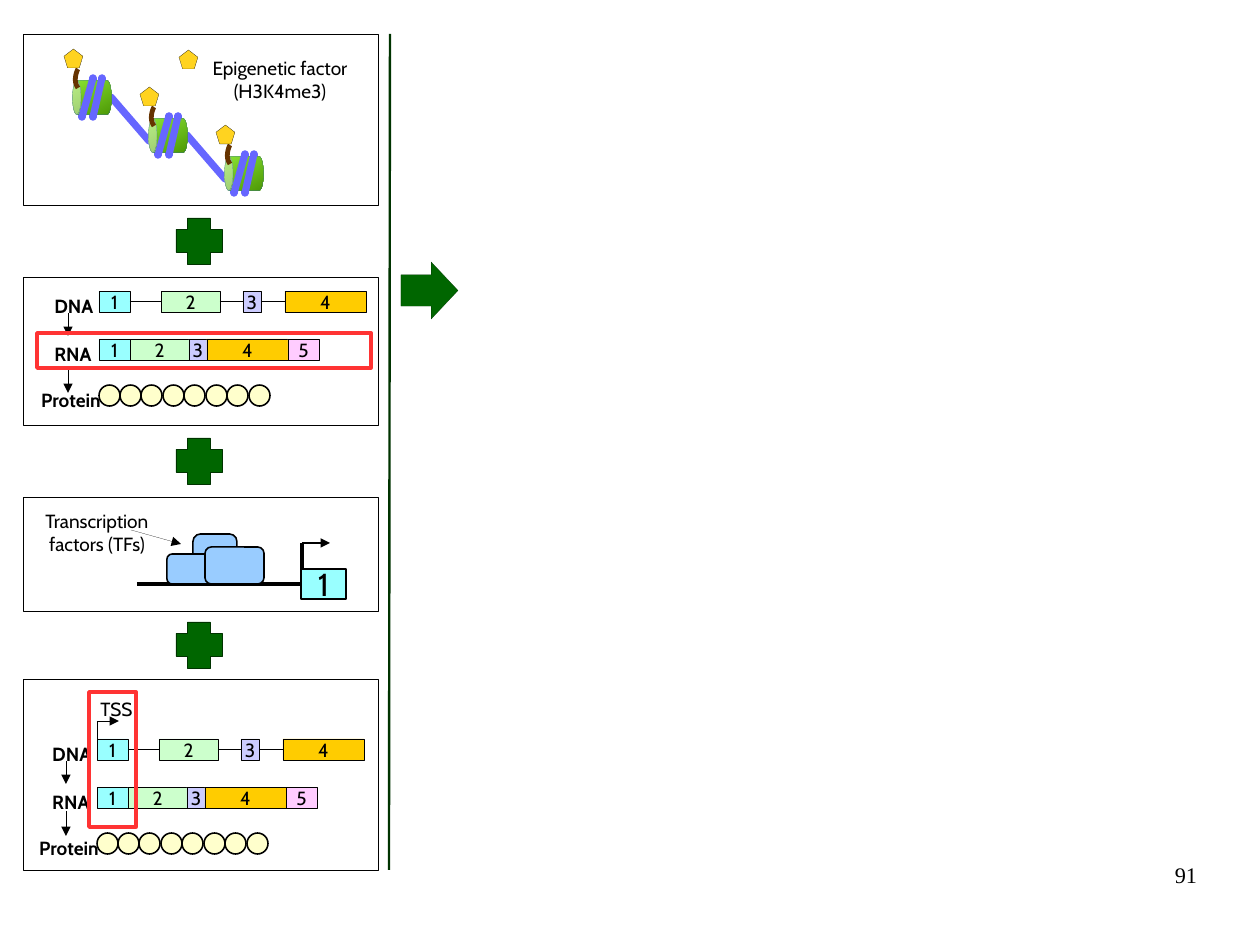
import pptx
import pptx.dml.color
import pptx.enum.shapes
import pptx.enum.text
import pptx.util
from lxml import etree
from pptx.oxml.ns import qn

SHAPE = pptx.enum.shapes.MSO_SHAPE
ALIGN = pptx.enum.text.PP_ALIGN
EMU_PER_PX = 8000
HAIRLINE = 0.1

BLACK, RED, DARK_GREEN, GREEN = "000000", "FF3333", "003300", "006600"
DNA_BLUE, TAIL_BROWN, FACTOR_YELLOW = "6666FF", "663300", "FFD320"
TF_BLUE, BEAD_CREAM = "99CCFF", "FFFFCC"
EXON_COLORS = ["99FFFF", "CCFFCC", "CCCCFF", "FFCC00", "FFCCFF"]
EXON_WIDTHS = [31, 59, 18, 81, 31]
DNA_OFFSETS = [0, 62, 144, 186]
EXON_HEIGHT = 21


def px(length):
    return pptx.util.Emu(round(length * EMU_PER_PX))


def color(value):
    return pptx.dml.color.RGBColor.from_string(value)


def set_line(line, line_color, width):
    line.color.rgb = color(line_color)
    line.width = pptx.util.Pt(width)


def add_shape(slide, kind, box, fill=None, line=BLACK, width=HAIRLINE, adjust=()):
    shape = slide.shapes.add_shape(kind, *map(px, box))
    shape.shadow.inherit = False
    if fill:
        shape.fill.solid()
        shape.fill.fore_color.rgb = color(fill)
    else:
        shape.fill.background()
    set_line(shape.line, line, width)
    for index, value in enumerate(adjust):
        shape.adjustments[index] = value
    return shape


def add_line(slide, start, end, line=BLACK, width=HAIRLINE, arrow=False):
    connector = slide.shapes.add_connector(
        pptx.enum.shapes.MSO_CONNECTOR.STRAIGHT, *map(px, (*start, *end)))
    set_line(connector.line, line, width)
    if arrow:
        etree.SubElement(connector.line._get_or_add_ln(), qn("a:tailEnd"), type="triangle")
    etree.SubElement(connector._element.spPr, qn("a:effectLst"))
    return connector


def write(shape, lines, size=12, bold=False, align=ALIGN.CENTER, font="Cabin"):
    frame = shape.text_frame
    frame.word_wrap = False
    for index, text in enumerate(lines):
        paragraph = frame.add_paragraph() if index else frame.paragraphs[0]
        paragraph.text = text
        paragraph.alignment = align
        paragraph.font.name = font
        paragraph.font.size = pptx.util.Pt(size)
        paragraph.font.bold = bold
        paragraph.font.color.rgb = color(BLACK)


def add_label(slide, box, lines, bold=False, align=ALIGN.CENTER):
    label = slide.shapes.add_textbox(*map(px, box))
    write(label, lines, bold=bold, align=align)
    label.text_frame.auto_size = pptx.enum.text.MSO_AUTO_SIZE.SHAPE_TO_FIT_TEXT


def add_exon(slide, number, box, size=12, width=HAIRLINE):
    exon = add_shape(slide, SHAPE.RECTANGLE, box, EXON_COLORS[number - 1], width=width)
    exon.text_frame.vertical_anchor = pptx.enum.text.MSO_ANCHOR.MIDDLE
    write(exon, [str(number)], size)
    return exon


def add_factor(slide, left, top):
    add_shape(slide, SHAPE.REGULAR_PENTAGON, (left, top, 19, 19), FACTOR_YELLOW)


def add_histone_tail(slide, left, top):
    # Cubic curve from the drum up to the factor, as a fine polyline
    controls = [(14, 39), (8, 31), (14, 20), (14, 20)]
    points = []
    for step in range(13):
        t = step / 12
        weights = ((1 - t) ** 3, 3 * t * (1 - t) ** 2, 3 * t * t * (1 - t), t ** 3)
        x = sum(weight * point[0] for weight, point in zip(weights, controls))
        y = sum(weight * point[1] for weight, point in zip(weights, controls))
        points.append((px(left + x), px(top + y)))
    builder = slide.shapes.build_freeform(*points[0])
    builder.add_line_segments(points[1:], close=False)
    tail = builder.convert_to_shape()
    tail.shadow.inherit = False
    tail.fill.background()
    set_line(tail.line, TAIL_BROWN, 3)


def add_nucleosome(slide, left, top, linked):
    def strand(x1, y1, x2, y2):
        connector = add_line(slide, (left + x1, top + y1), (left + x2, top + y2), DNA_BLUE, 4.5)
        connector.line._get_or_add_ln().set("cap", "rnd")

    # DNA behind the drum, and the link to the next drum
    if linked:
        strand(47, 48, 85, 92)
    for x, y in [(29, 63), (38, 29), (18, 63), (29, 29)]:
        strand(x, y, x, y + 5)
    drum = add_shape(slide, SHAPE.CAN, (left + 11, top + 29, 34, 39),
                     line="3465A4", adjust=[0.25])
    drum.rotation = 270
    drum.fill.gradient()
    drum.fill.gradient_angle = 210
    for stop, stop_color in zip(drum.fill.gradient_stops, ["8AE234", "4E9A06"]):
        stop.color.rgb = color(stop_color)
    # DNA in front of the drum
    strand(18, 68, 29, 29)
    strand(29, 68, 38, 29)
    add_histone_tail(slide, left, top)
    add_factor(slide, left, top)


def epigenetic_panel(slide, left, top, width, height):
    add_shape(slide, SHAPE.RECTANGLE, (left, top, width, height))
    for index in range(3):
        add_nucleosome(slide, left + 41 + 76 * index, top + 15 + 38 * index, index < 2)
    add_factor(slide, left + 156, top + 16)
    add_label(slide, (left + 178, top + 17, 158, 58), ["Epigenetic factor", "(H3K4me3)"])


def gene_diagram(slide, left, top, protein_arrow):
    # DNA: exons joined by introns
    exons = [add_exon(slide, number, (left + offset, top, width, EXON_HEIGHT))
             for number, (offset, width) in enumerate(zip(DNA_OFFSETS, EXON_WIDTHS), 1)]
    for before, after in zip(exons, exons[1:]):
        intron = add_line(slide, (left, top), (left, top))
        intron.begin_connect(before, 3)
        intron.end_connect(after, 1)
    # RNA: exons side by side
    for number, width in enumerate(EXON_WIDTHS, 1):
        offset = sum(EXON_WIDTHS[:number - 1])
        add_exon(slide, number, (left + offset, top + 48, width, EXON_HEIGHT))
    # Protein: a row of beads
    for index in range(8):
        add_shape(slide, SHAPE.OVAL, (left + index * 150 // 7, top + 94, 21, 21),
                  BEAD_CREAM, width=1)
    for text, x, y, width in [("DNA", -56, -2, 66), ("RNA", -56, 46, 66),
                              ("Protein", -69, 92, 92)]:
        add_label(slide, (left + x, top + y, width, 34), [text], True, ALIGN.LEFT)
    for start, length in [(22, 23), (protein_arrow, 25)]:
        add_line(slide, (left - 31, top + start), (left - 31, top + start + length), arrow=True)


def expression_panel(slide, left, top, width, height):
    add_shape(slide, SHAPE.RECTANGLE, (left, top, width, height))
    gene_diagram(slide, left + 76, top + 14, 77)
    add_shape(slide, SHAPE.RECTANGLE, (left + 14, top + 56, 334, 35), line=RED, width=2.3)


def transcription_panel(slide, left, top, width, height):
    add_shape(slide, SHAPE.RECTANGLE, (left, top, width, height))
    gene = add_exon(slide, 1, (left + 278, top + 72, 45, 30), 20, 1)
    promoter = add_line(slide, (left + 114, top + 87), (left + 278, top + 87), width=2.3)
    promoter.end_connect(gene, 1)
    for x, y, box_width, box_height in [(170, 37, 44, 45), (144, 57, 46, 30), (182, 50, 59, 37)]:
        add_shape(slide, SHAPE.ROUNDED_RECTANGLE, (left + x, top + y, box_width, box_height),
                  TF_BLUE, width=1, adjust=[0.17])
    corner = (left + 279, top + 46)
    add_line(slide, corner, (left + 307, top + 46), width=1, arrow=True)
    add_line(slide, (left + 279, top + 72), corner, width=2.3)
    add_label(slide, (left + 11, top + 7, 126, 58), ["Transcription", "factors (TFs)"])
    add_line(slide, (left + 108, top + 33), (left + 158, top + 47), arrow=True)


def start_site_panel(slide, left, top, width, height):
    add_shape(slide, SHAPE.RECTANGLE, (left, top, width, height))
    gene_diagram(slide, left + 74, top + 60, 72)
    corner = (left + 74, top + 42)
    add_line(slide, corner, (left + 96, top + 42), arrow=True)
    add_line(slide, (left + 74, top + 60), corner)
    add_label(slide, (left + 66, top + 13, 60, 34), ["TSS"], align=ALIGN.LEFT)
    add_shape(slide, SHAPE.RECTANGLE, (left + 66, top + 13, 47, 135), line=RED, width=2.3)


def page_number(slide, left, top, width, height):
    number = slide.shapes.add_textbox(*map(px, (left, top, width, height)))
    frame = number.text_frame
    frame.margin_left = frame.margin_right = frame.margin_top = frame.margin_bottom = 0
    write(number, ["91"], 14, align=ALIGN.RIGHT, font="Times New Roman")
    frame.word_wrap = True


def main():
    presentation = pptx.Presentation()
    presentation.slide_width, presentation.slide_height = px(1260), px(945)
    slide = presentation.slides.add_slide(presentation.slide_layouts[6])
    # Panels of the left column
    for panel, top, height in [(epigenetic_panel, 34, 171), (expression_panel, 277, 148),
                               (transcription_panel, 497, 114), (start_site_panel, 679, 191)]:
        panel(slide, 23, top, 355, height)
    # Plus signs, divider and result arrow
    for top in (218, 438, 622):
        add_shape(slide, SHAPE.CROSS, (176, top, 46, 46), GREEN, DARK_GREEN, adjust=[0.25])
    add_line(slide, (390, 34), (389, 870), DARK_GREEN, 1.5)
    add_shape(slide, SHAPE.RIGHT_ARROW, (401, 262, 57, 57), GREEN, DARK_GREEN,
              adjust=[0.55, 0.47])
    page_number(slide, 903, 861, 294, 65)
    presentation.save("out.pptx")


if __name__ == "__main__":
    main()
